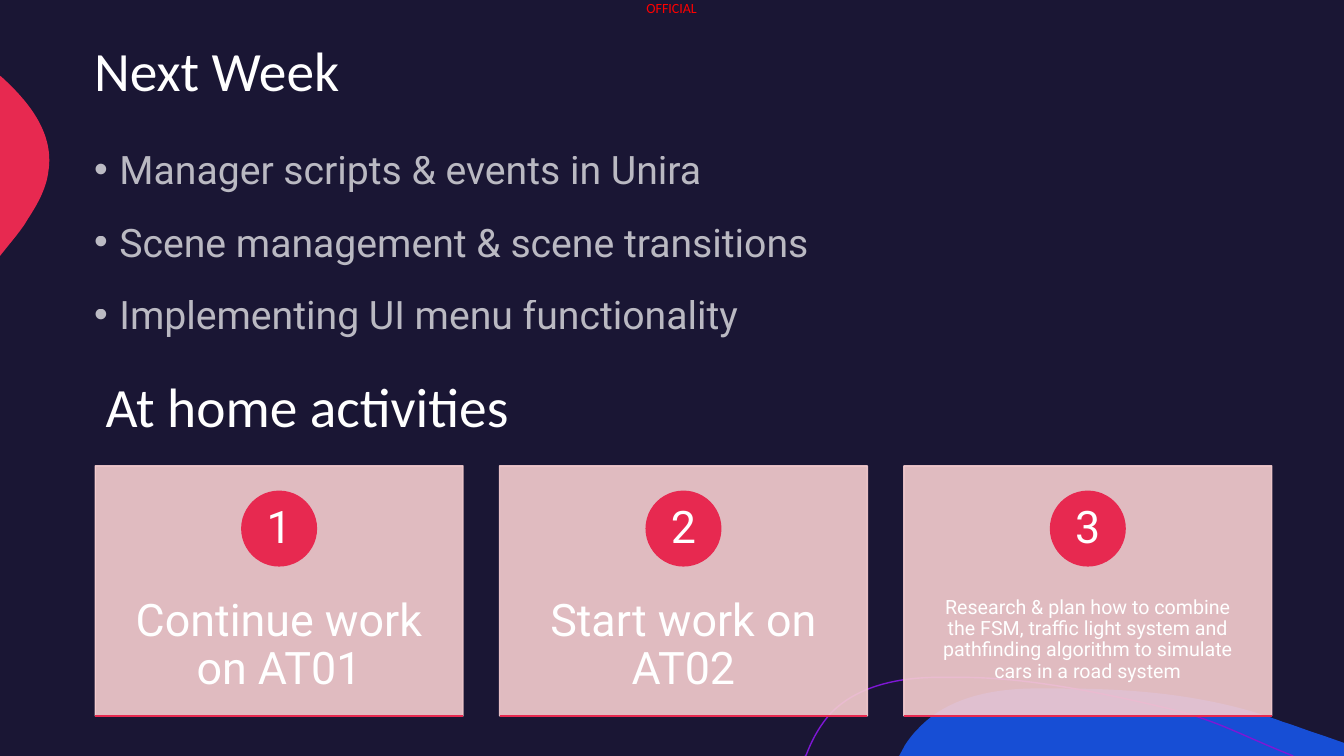
from lxml.etree import SubElement
from pptx import Presentation
from pptx.dml.color import RGBColor
from pptx.enum.shapes import MSO_CONNECTOR as Connector, MSO_SHAPE as Preset
from pptx.enum.text import MSO_ANCHOR as Anchor, PP_ALIGN as Align
from pptx.oxml.ns import qn
from pptx.util import Cm, Pt

NIGHT, WHITE, RED = "1A1634", "FFFFFF", "E72950"
PINK, BLUE, PURPLE, MARKING = "F6CDD0", "174ED5", "7E17D5", "FF0000"

BLUE_WAVE = [
    [(26.77, 17.35)],
    [(28.65, 17.35), (30.58, 17.53), (32.33, 18.19)],
    [(32.66, 18.29), (32.97, 18.42), (33.3, 18.52)],
    [(33.87, 18.72)], [(33.87, 19.05)], [(22.66, 19.05)], [(22.81, 18.77)],
    [(22.91, 18.62), (23.01, 18.49), (23.14, 18.36)],
    [(23.85, 17.6), (24.94, 17.37), (25.98, 17.35)],
    [(26.24, 17.35), (26.49, 17.35), (26.77, 17.35)],
]
RED_BLOB = [
    [(0, 1.91)], [(0.03, 1.93)],
    [(0.76, 2.59), (1.37, 3.38), (1.22, 4.32)],
    [(1.17, 4.75), (0.94, 5.16), (0.69, 5.54)],
    [(0.61, 5.69), (0.43, 5.92), (0.2, 6.2)],
    [(0, 6.45)],
]
PURPLE_ARC = [
    [(20.29, 19.05)], [(20.32, 19.02)],
    [(20.47, 18.62), (20.68, 18.26), (20.93, 17.98)],
    [(21.59, 17.3), (22.58, 17.09), (23.52, 17.07)],
    [(24.26, 17.07)],
    [(25.96, 17.07), (27.94, 17.5), (29.34, 17.83)],
    [(30.71, 18.16), (31.14, 18.47), (32.59, 19.05)],
]

TOPICS = [
    "Manager scripts & events in Unira",
    "Scene management & scene transitions",
    "Implementing UI menu functionality",
]
ACTIVITIES = [
    ("Continue work on AT01", 32),
    ("Start work on AT02", 32),
    ("Research & plan how to combine the FSM, traffic light system and "
     "pathfinding algorithm to simulate cars in a road system", 14),
]
CARD_LEFT, CARD_STEP, CARD_TOP, CARD_WIDTH, CARD_HEIGHT = 2.4, 10.19, 11.74, 9.27, 6.3
BADGE, NUMBER = 1.88, 1.34


def color(code):
    return RGBColor.from_string(code)


def fade(element, percent):
    for tone in element.xpath(".//a:srgbClr"):
        SubElement(tone, qn("a:alpha"), val=str(percent * 1000))


def bend(shape, segments):
    lines = shape._element.xpath(".//a:lnTo")
    for line, segment in zip(lines, segments[1:]):
        if len(segment) == 3:
            line.tag = qn("a:cubicBezTo")
            for point in list(line):
                line.remove(point)
            for x, y in segment:
                SubElement(line, qn("a:pt"), x=str(Cm(x) - shape.left), y=str(Cm(y) - shape.top))


class Painter:
    """Draws styled elements on the current slide."""

    heading_font, body_font = "Calibri", "Roboto"

    def __init__(self, deck):
        self.page = deck.slides.add_slide(deck.slide_layouts[5])
        self.page.background.fill.solid()
        self.page.background.fill.fore_color.rgb = color(NIGHT)

    def style(self, para, size, font, tone=WHITE, spacing=0.9, align=Align.LEFT):
        para.line_spacing, para.alignment = spacing, align
        para.font.size, para.font.name = Pt(size), font
        para.font.color.rgb = color(tone)

    def frame(self, box, insets=(0.25, 0.13), anchor=Anchor.TOP, wrap=True):
        frame = box.text_frame
        frame.word_wrap, frame.vertical_anchor = wrap, anchor
        frame.margin_left = frame.margin_right = Cm(insets[0])
        frame.margin_top = frame.margin_bottom = Cm(insets[1])
        return frame

    def textbox(self, left, top, width, height):
        return self.page.shapes.add_textbox(Cm(left), Cm(top), Cm(width), Cm(height))

    def title(self, text, left, top, width, height):
        box = self.page.shapes.title
        box.left, box.top, box.width, box.height = Cm(left), Cm(top), Cm(width), Cm(height)
        self.heading(box, text, 0.9)

    def heading(self, box, text, spacing):
        frame = self.frame(box, anchor=Anchor.MIDDLE)
        frame.text = text
        self.style(frame.paragraphs[0], 39.6, self.heading_font, spacing=spacing)

    def marking(self, text, left, top, width, height):
        frame = self.frame(self.textbox(left, top, width, height), (0, 0), wrap=False)
        frame.text = text
        self.style(frame.paragraphs[0], 10, self.heading_font, MARKING, 1.0)

    def bullets(self, lines, left, top, width, height):
        frame = self.frame(self.textbox(left, top, width, height))
        frame.text = "\n".join(lines)
        for index, para in enumerate(frame.paragraphs):
            if index:
                para.space_before = Pt(10)
            props = para._p.get_or_add_pPr()
            props.set("marL", str(Cm(0.64)))
            props.set("indent", str(-Cm(0.64)))
            SubElement(props, qn("a:buFont"), typeface="Arial")
            SubElement(props, qn("a:buChar"), char="•")
            self.style(para, 28, self.body_font, spacing=1.25)
            fade(para._p, 70)

    def outline(self, segments, tone, filled=True):
        points = [(Cm(x), Cm(y)) for x, y in (segment[-1] for segment in segments)]
        builder = self.page.shapes.build_freeform(*points[0])
        builder.add_line_segments(points[1:], close=filled)
        shape = builder.convert_to_shape()
        shape.shadow.inherit = False
        bend(shape, segments)
        if filled:
            shape.fill.solid()
            shape.fill.fore_color.rgb = color(tone)
            shape.line.fill.background()
        else:
            shape.fill.background()
            shape.line.color.rgb = color(tone)
            shape.line.width = Pt(1)

    def shape(self, preset, tone, left, top, width, height):
        shape = self.page.shapes.add_shape(preset, Cm(left), Cm(top), Cm(width), Cm(height))
        shape.shadow.inherit = False
        shape.fill.solid()
        shape.fill.fore_color.rgb = shape.line.color.rgb = color(tone)
        shape.line.width = Pt(1)
        return shape

    def rule(self, tone, left, top, width):
        line = self.page.shapes.add_connector(
            Connector.STRAIGHT, Cm(left), Cm(top), Cm(left + width), Cm(top))
        line.line.color.rgb = color(tone)
        line.line.width = Pt(1)
        SubElement(line._element.spPr, qn("a:effectLst"))

    def centred(self, box, text, size, insets, anchor):
        frame = self.frame(box, insets, anchor)
        frame.text = text
        self.style(frame.paragraphs[0], size, self.body_font, align=Align.CENTER)

    def card(self, number, text, size, left):
        panel = self.shape(Preset.RECTANGLE, PINK, left, CARD_TOP, CARD_WIDTH, CARD_HEIGHT)
        fade(panel._element, 90)
        caption = self.textbox(left, CARD_TOP + 2.41, CARD_WIDTH, 3.78)
        self.centred(caption, text, size, (0.71, 0.91), Anchor.TOP)
        middle, badge_top = left + CARD_WIDTH / 2, CARD_TOP + 0.64
        self.shape(Preset.OVAL, RED, middle - BADGE / 2, badge_top, BADGE, BADGE)
        label = self.textbox(middle - NUMBER / 2, badge_top + (BADGE - NUMBER) / 2, NUMBER, NUMBER)
        self.centred(label, str(number), 32, (0.15, 0.03), Anchor.MIDDLE)
        self.rule(RED, left, CARD_TOP + CARD_HEIGHT, CARD_WIDTH)


def main():
    deck = Presentation()
    deck.slide_width, deck.slide_height = Cm(33.87), Cm(19.05)
    painter = Painter(deck)
    painter.outline(BLUE_WAVE, BLUE)
    painter.outline(RED_BLOB, RED)
    painter.outline(PURPLE_ARC, PURPLE, filled=False)
    painter.marking("OFFICIAL", 16.29, 0, 1.35, 0.43)
    painter.title("Next Week", 2.12, 1.02, 29.64, 1.68)
    painter.bullets(TOPICS, 2.12, 3.23, 29.64, 6.3)
    painter.heading(painter.textbox(2.41, 9.53, 29.64, 1.68), "At home activities", 0.8)
    for index, (text, size) in enumerate(ACTIVITIES):
        painter.card(index + 1, text, size, CARD_LEFT + index * CARD_STEP)
    deck.save("out.pptx")


if __name__ == "__main__":
    main()
